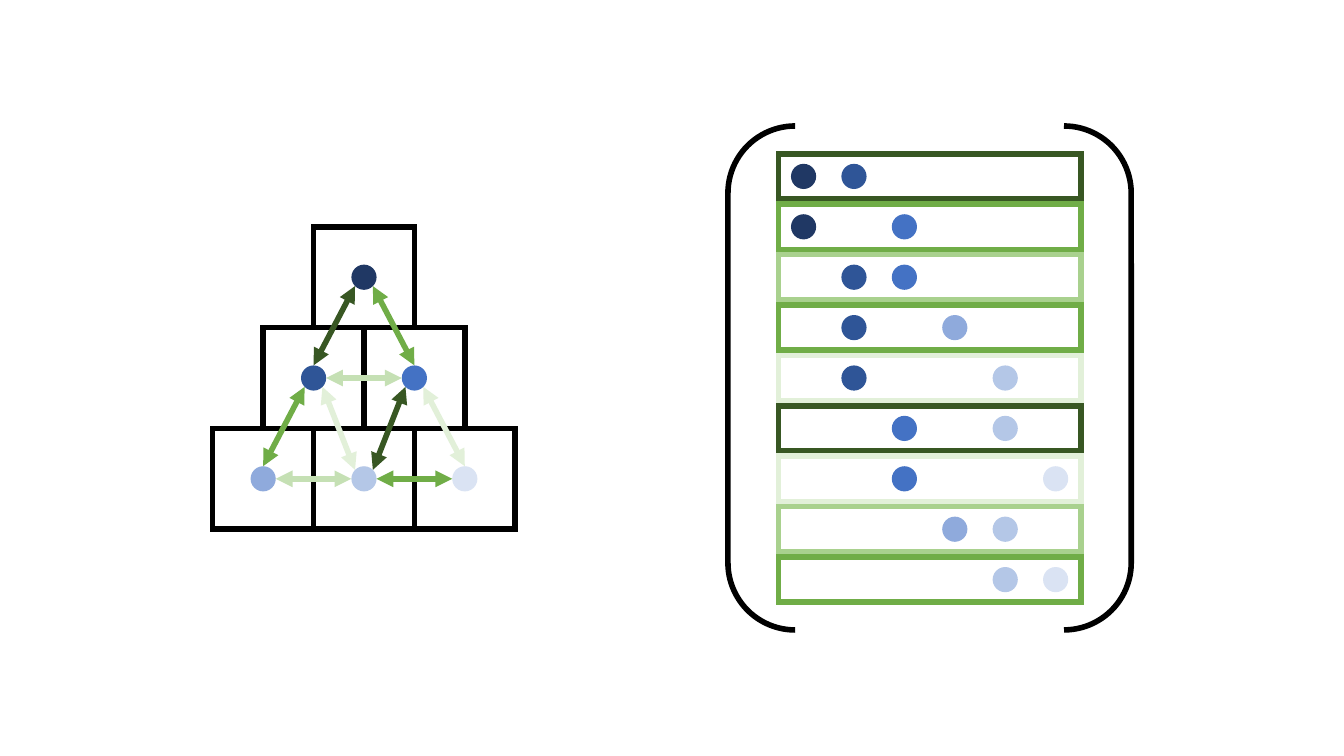
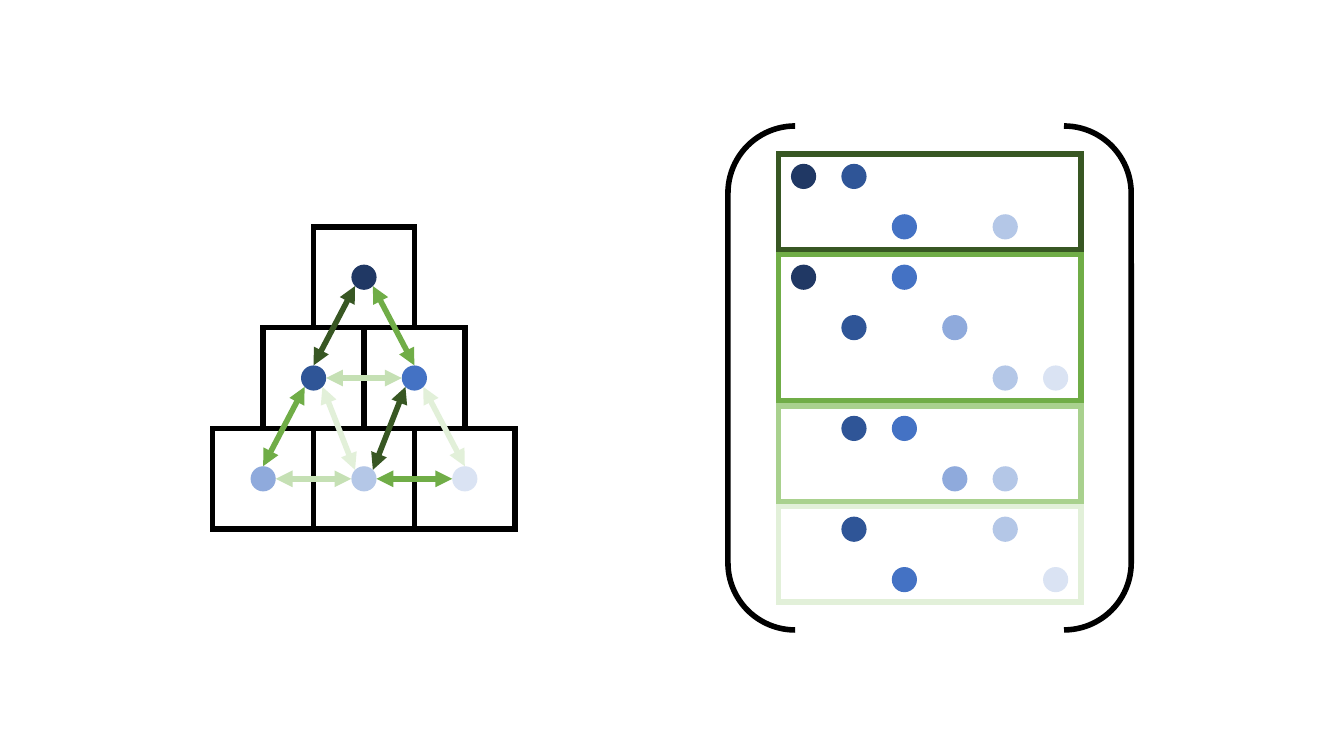
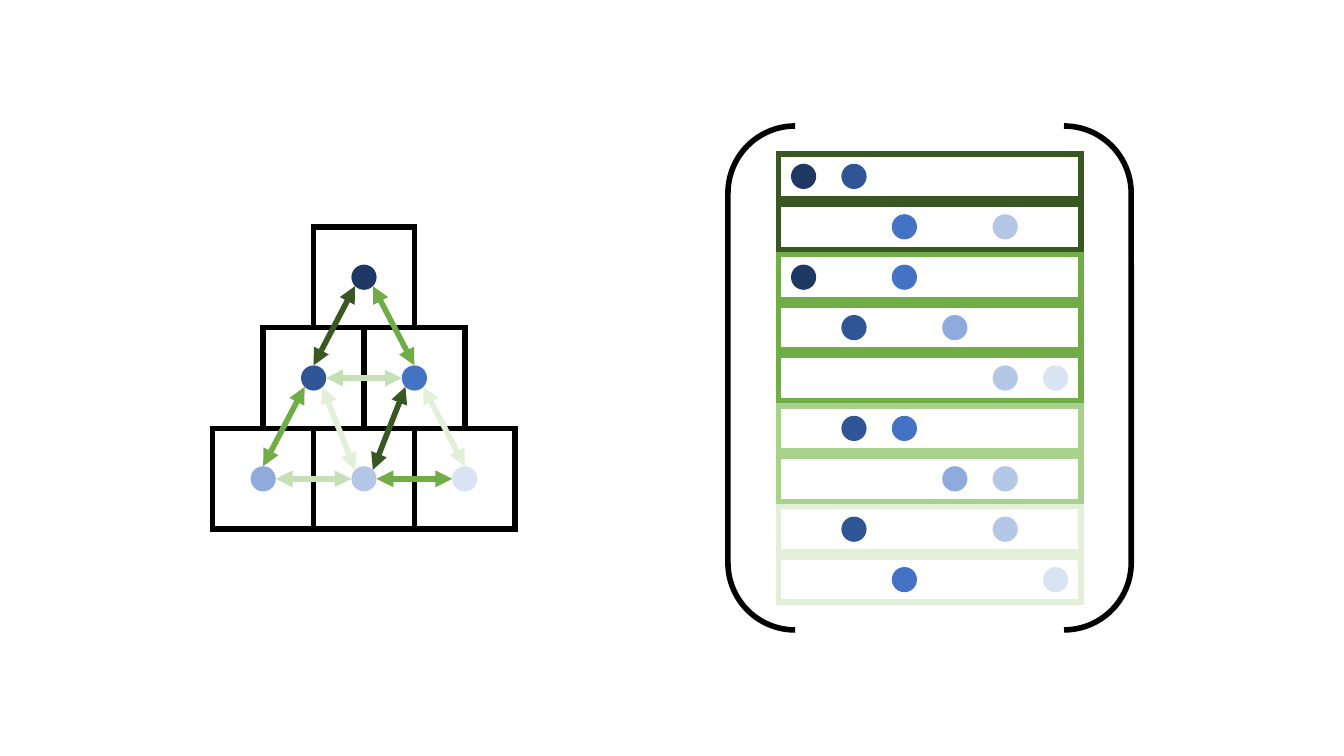
"""Three slides: a pyramid of linked cells beside its link matrix, listed, banded and sorted."""
from dataclasses import dataclass
from itertools import groupby
from math import cos, radians, sin

from lxml.etree import SubElement
from pptx import Presentation
from pptx.dml.color import RGBColor
from pptx.enum.shapes import MSO_CONNECTOR, MSO_SHAPE
from pptx.oxml.ns import qn
from pptx.util import Inches, Pt


@dataclass(frozen=True)
class Theme:
    outline: str = "000000"
    dots: tuple = ("203864", "2F5597", "4472C4", "8FAADC", "B4C7E7", "DAE3F3")
    arrows: tuple = ("385723", "70AD47", "C5E0B4", "E2F0D9")
    frames: tuple = ("385723", "70AD47", "A9D18E", "E2F0D9")
    line_width: int = Pt(4)


theme = Theme()
CELL = Inches(0.5)
DOT = CELL / 2
FRAME_GAP = CELL / 10
PYRAMID_LEFT, PYRAMID_TOP = Inches(2.11), 4.5 * CELL
MATRIX_LEFT, MATRIX_TOP = Inches(7.72), 3 * CELL
MATRIX_COLUMNS = len(theme.dots)

LEVELS = [(level, place) for level in range(3) for place in range(level + 1)]
CENTRES = [
    (PYRAMID_LEFT + (3 - level + 2 * place) * CELL, PYRAMID_TOP + (1 + 2 * level) * CELL)
    for level, place in LEVELS
]

TOP, TOP_LEFT, LEFT, BOTTOM_LEFT, BOTTOM_RIGHT, RIGHT, TOP_RIGHT = 0, 45, 90, 135, 225, 270, 315
LINKS = [
    (0, (0, BOTTOM_LEFT), (1, TOP)),
    (1, (0, BOTTOM_RIGHT), (2, TOP)),
    (2, (1, RIGHT), (2, LEFT)),
    (1, (1, BOTTOM_LEFT), (3, TOP)),
    (3, (1, BOTTOM_RIGHT), (4, TOP_LEFT)),
    (0, (2, BOTTOM_LEFT), (4, TOP_RIGHT)),
    (3, (2, BOTTOM_RIGHT), (5, TOP)),
    (2, (3, RIGHT), (4, LEFT)),
    (1, (4, RIGHT), (5, LEFT)),
]

listed = [(shade, (start, end)) for shade, (start, _), (end, _) in LINKS]
by_shade = sorted(listed)
bands = [
    (shade, [pair for _, pair in members])
    for shade, members in groupby(by_shade, key=lambda link: link[0])
]
matrices = [
    [(shade, [pair]) for shade, pair in listed],
    bands,
    [(shade, [pair]) for shade, pair in by_shade],
]


def draw_shape(shapes, kind, box, fill=None, line=None):
    shape = shapes.add_shape(kind, *(round(length) for length in box))
    shape.shadow.inherit = False
    for paint, colour in ((shape.fill, fill), (shape.line.fill, line)):
        if colour:
            paint.solid()
            paint.fore_color.rgb = RGBColor.from_string(colour)
        else:
            paint.background()
    if line:
        shape.line.width = theme.line_width
        SubElement(shape.element.spPr.find(qn("a:ln")), qn("a:miter"), lim="800000")


def draw_dot(shapes, index, x, y):
    box = (x - DOT / 2, y - DOT / 2, DOT, DOT)
    draw_shape(shapes, MSO_SHAPE.OVAL, box, fill=theme.dots[index])


presentation = Presentation()
for name, value in {"slide_width": Inches(13.33), "slide_height": 15 * CELL}.items():
    setattr(presentation, name, value)

for matrix in matrices:
    slide = presentation.slides.add_slide(presentation.slide_layouts[6])

    pyramid = slide.shapes.add_group_shape().shapes
    for x, y in CENTRES:
        box = (x - CELL, y - CELL, 2 * CELL, 2 * CELL)
        draw_shape(pyramid, MSO_SHAPE.RECTANGLE, box, line=theme.outline)
    for index, (x, y) in enumerate(CENTRES):
        draw_dot(pyramid, index, x, y)
    for shade, *ends in LINKS:
        points = []
        for index, angle in ends:
            x, y = CENTRES[index]
            points.append(round(x - DOT / 2 * sin(radians(angle))))
            points.append(round(y - DOT / 2 * cos(radians(angle))))
        arrow = pyramid.add_connector(MSO_CONNECTOR.STRAIGHT, *points)
        arrow.line.width = theme.line_width
        arrow.line.color.rgb = RGBColor.from_string(theme.arrows[shade])
        for tag in ("a:headEnd", "a:tailEnd"):
            SubElement(arrow.element.spPr.find(qn("a:ln")), qn(tag), type="triangle")
        SubElement(arrow.element.spPr, qn("a:effectLst"))

    bracket = (MATRIX_LEFT - CELL, MATRIX_TOP - CELL / 2, (MATRIX_COLUMNS + 2) * CELL, (len(LINKS) + 1) * CELL)
    bracket = (bracket[0], MATRIX_TOP - CELL / 2, bracket[2], bracket[3])
    draw_shape(slide.shapes, MSO_SHAPE.DOUBLE_BRACKET, bracket, line=theme.outline)

    top = MATRIX_TOP
    for shade, pairs in matrix:
        band = slide.shapes.add_group_shape().shapes
        for row, pair in enumerate(pairs):
            for column in pair:
                draw_dot(band, column, MATRIX_LEFT + (column + 0.5) * CELL, top + (row + 0.5) * CELL)
        height = len(pairs) * CELL
        box = (MATRIX_LEFT, top + FRAME_GAP / 2, MATRIX_COLUMNS * CELL, height - FRAME_GAP)
        draw_shape(band, MSO_SHAPE.RECTANGLE, box, line=theme.frames[shade])
        top += height

presentation.save("out.pptx")
